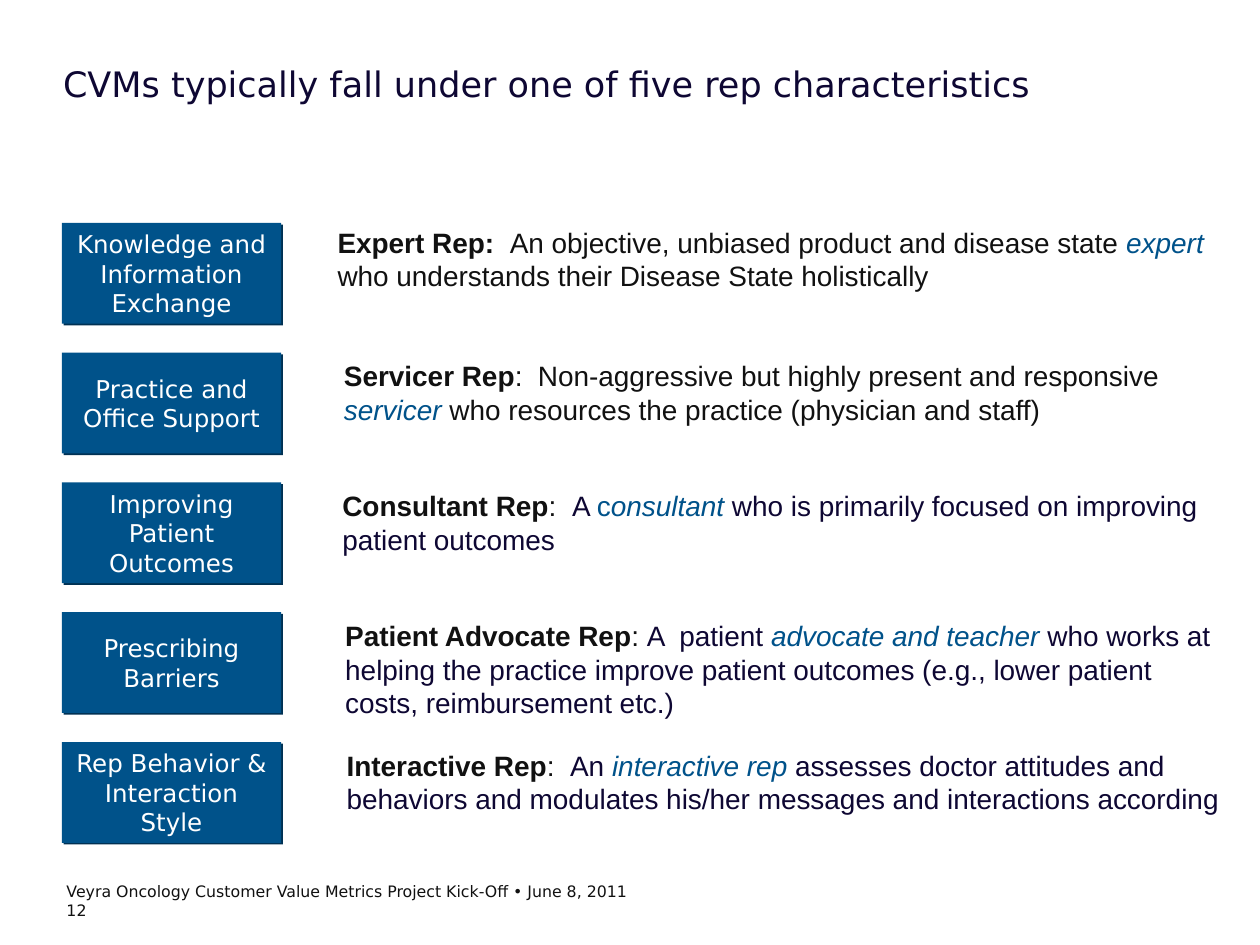
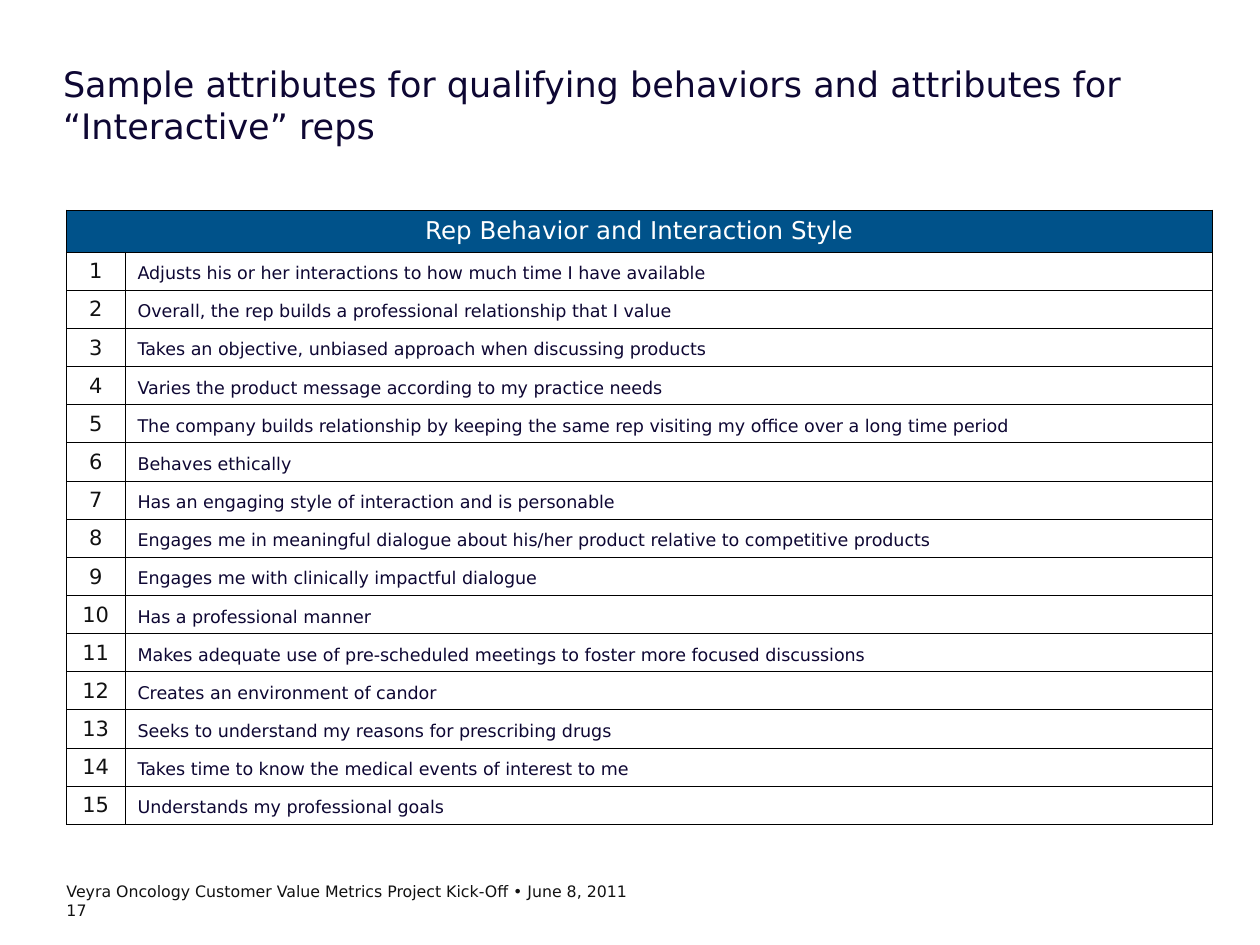
from lxml import etree
from pptx import Presentation
from pptx.dml.color import RGBColor
from pptx.enum import shapes, text
from pptx.oxml import ns
from pptx.util import Pt

COLORS = {"navy": "0E0733", "blue": "00528A", "shade": "003153",
          "ink": "111111", "white": "FFFFFF", "black": "000000"}
SANS, ARIAL = "DejaVu Sans", "Arial"
INSETS = (7.2, 3.6, 7.2, 3.6)
FOOTER = "Veyra Oncology Customer Value Metrics Project Kick-Off • June 8, 2011"

ROW_TOP, ROW_PITCH = 127.4, 74.16
# label, description left, description lift, spans of (text, color, style)
CHARACTERISTICS = [
    ("Knowledge and Information Exchange", 185.8, 2.2, [
        ("Expert Rep:  ", "ink", "bold"),
        ("An objective, unbiased product and disease state ", "ink", ""),
        ("expert ", "blue", "italic"),
        ("who understands their Disease State holistically", "ink", "")]),
    ("Practice and Office Support", 189.5, 0, [
        ("Servicer Rep", "ink", "bold"),
        (":  Non-aggressive but highly present and responsive ", "ink", ""),
        ("servicer ", "blue", "italic"),
        ("who resources the practice (physician and staff)", "ink", "")]),
    ("Improving Patient Outcomes", 188.6, 0, [
        ("Consultant Rep", "ink", "bold"),
        (":  ", "ink", ""),
        ("A ", "navy", ""),
        ("c", "blue", ""),
        ("onsultant", "blue", "italic"),
        (" who is primarily focused on improving patient outcomes", "navy", "")]),
    ("Prescribing Barriers", 190.2, 0, [
        ("Patient Advocate Rep", "ink", "bold"),
        (": ", "ink", ""),
        ("A  patient ", "navy", ""),
        ("advocate and teacher", "blue", "italic"),
        (" who works at helping the practice improve patient outcomes "
         "(e.g., lower patient costs, reimbursement etc.)", "navy", "")]),
    ("Rep Behavior & Interaction Style", 191, 0, [
        ("Interactive Rep", "ink", "bold"),
        (":  ", "ink", ""),
        ("An ", "navy", ""),
        ("interactive rep", "blue", "italic"),
        (" assesses doctor attitudes and behaviors and modulates his/her "
         "messages and interactions according", "navy", "")]),
]

ATTRIBUTES = [
    "Adjusts his or her interactions to how much time I have available",
    "Overall, the rep builds a professional relationship that I value",
    "Takes an objective, unbiased approach when discussing products",
    "Varies the product message according to my practice needs",
    "The company builds relationship by keeping the same rep visiting my office "
    "over a long time period",
    "Behaves ethically",
    "Has an engaging style of interaction and is personable",
    "Engages me in meaningful dialogue about his/her product relative to "
    "competitive products",
    "Engages me with clinically impactful dialogue",
    "Has a professional manner",
    "Makes adequate use of pre-scheduled meetings to foster more focused discussions",
    "Creates an environment of candor",
    "Seeks to understand my reasons for prescribing drugs",
    "Takes time to know the medical events of interest to me",
    "Understands my professional goals",
]


def rgb(name):
    return RGBColor.from_string(COLORS[name])


def add_xml(parent, tag, **attributes):
    element = etree.SubElement(parent, ns.qn(tag))
    for key, value in attributes.items():
        element.set(key, str(value))
    return element


def write(frame, paragraphs, size=14, font=SANS, color="ink", align="LEFT"):
    """Fill a text frame; a paragraph is a string or a list of (text, color, style)."""
    for index, content in enumerate(paragraphs):
        para = frame.add_paragraph() if index else frame.paragraphs[0]
        para.alignment = text.PP_ALIGN[align]
        spans = [(content, color, "")] if isinstance(content, str) else content
        for words, span_color, style in spans:
            span = para.add_run()
            span.text = words
            span.font.size, span.font.name = Pt(size), font
            span.font.bold, span.font.italic = style == "bold", style == "italic"
            span.font.color.rgb = rgb(span_color)


def set_frame(frame, insets, anchor="TOP"):
    frame.word_wrap = True
    frame.vertical_anchor = text.MSO_ANCHOR[anchor]
    (frame.margin_left, frame.margin_top,
     frame.margin_right, frame.margin_bottom) = map(Pt, insets)


def add_text(page, place, paragraphs, insets=(0, 0, 0, 0), **format):
    box = page.shapes.add_textbox(*map(Pt, place))
    set_frame(box.text_frame, insets)
    write(box.text_frame, paragraphs, **format)


def add_label(page, place, label):
    """Blue box with a hard, narrow shadow to the lower right."""
    box = page.shapes.add_shape(shapes.MSO_SHAPE.RECTANGLE, *map(Pt, place))
    box.fill.solid()
    box.fill.fore_color.rgb = rgb("blue")
    box.line.fill.background()
    box.shadow.inherit = False
    effects = box.element.spPr.find(ns.qn("a:effectLst"))
    shadow = add_xml(effects, "a:outerShdw", blurRad=0, dist=Pt(1.4),
                     dir=45 * 60000, algn="ctr", rotWithShape=0)
    add_xml(shadow, "a:srgbClr", val=COLORS["shade"])
    set_frame(box.text_frame, INSETS, "MIDDLE")
    write(box.text_frame, [label], color="white", align="CENTER")


def set_borders(cell):
    properties = cell._tc.get_or_add_tcPr()
    for index, side in enumerate("LRTB"):
        line = add_xml(properties, f"a:ln{side}", w=Pt(0.45))
        add_xml(add_xml(line, "a:solidFill"), "a:srgbClr", val=COLORS["black"])
        properties.insert(index, line)


def style_cell(cell, fill=None):
    (cell.margin_left, cell.margin_top,
     cell.margin_right, cell.margin_bottom) = map(Pt, INSETS)
    cell.vertical_anchor = text.MSO_ANCHOR.BOTTOM
    if fill:
        cell.fill.solid()
        cell.fill.fore_color.rgb = rgb(fill)
    else:
        cell.fill.background()
    set_borders(cell)


def add_attribute_table(page, heading, attributes):
    widths, heights = (33.4, 621.1), [24] + [21.8] * len(attributes)
    table = page.shapes.add_table(len(heights), 2, Pt(38), Pt(120),
                                  Pt(sum(widths)), Pt(sum(heights))).table
    table.first_row = table.horz_banding = False
    for column, width in zip(table.columns, widths):
        column.width = Pt(width)
    for index, (row, height) in enumerate(zip(table.rows, heights)):
        row.height = Pt(height)
        for cell in row.cells:
            style_cell(cell, None if index else "blue")

    table.cell(0, 0).merge(table.cell(0, 1))
    write(table.cell(0, 0).text_frame, [heading], color="white", align="CENTER")
    for number, attribute in enumerate(attributes, 1):
        write(table.cell(number, 0).text_frame, [str(number)], size=12, align="CENTER")
        write(table.cell(number, 1).text_frame, [attribute], size=10, color="navy")


def add_page(deck, title, number):
    page = deck.slides.add_slide(deck.slide_layouts[6])
    add_text(page, (36, 36, 660, 72), [title], size=20, color="navy")
    add_text(page, (38, 504, 540, 25), [FOOTER, str(number)], size=9)
    return page


def main():
    deck = Presentation()
    deck.slide_width, deck.slide_height = Pt(720), Pt(540)

    page = add_page(deck, "CVMs typically fall under one of five rep characteristics", 12)
    for index, (label, left, lift, description) in enumerate(CHARACTERISTICS):
        top = ROW_TOP + index * ROW_PITCH
        add_label(page, (35.4, top, 125.3, 57.6), label)
        add_text(page, (left, top - lift, 515, 46), [description],
                 insets=INSETS, size=16, font=ARIAL)

    page = add_page(deck, "Sample attributes for qualifying behaviors and attributes "
                          "for “Interactive” reps", 17)
    add_attribute_table(page, "Rep Behavior and Interaction Style", ATTRIBUTES)

    deck.save("out.pptx")


if __name__ == "__main__":
    main()
